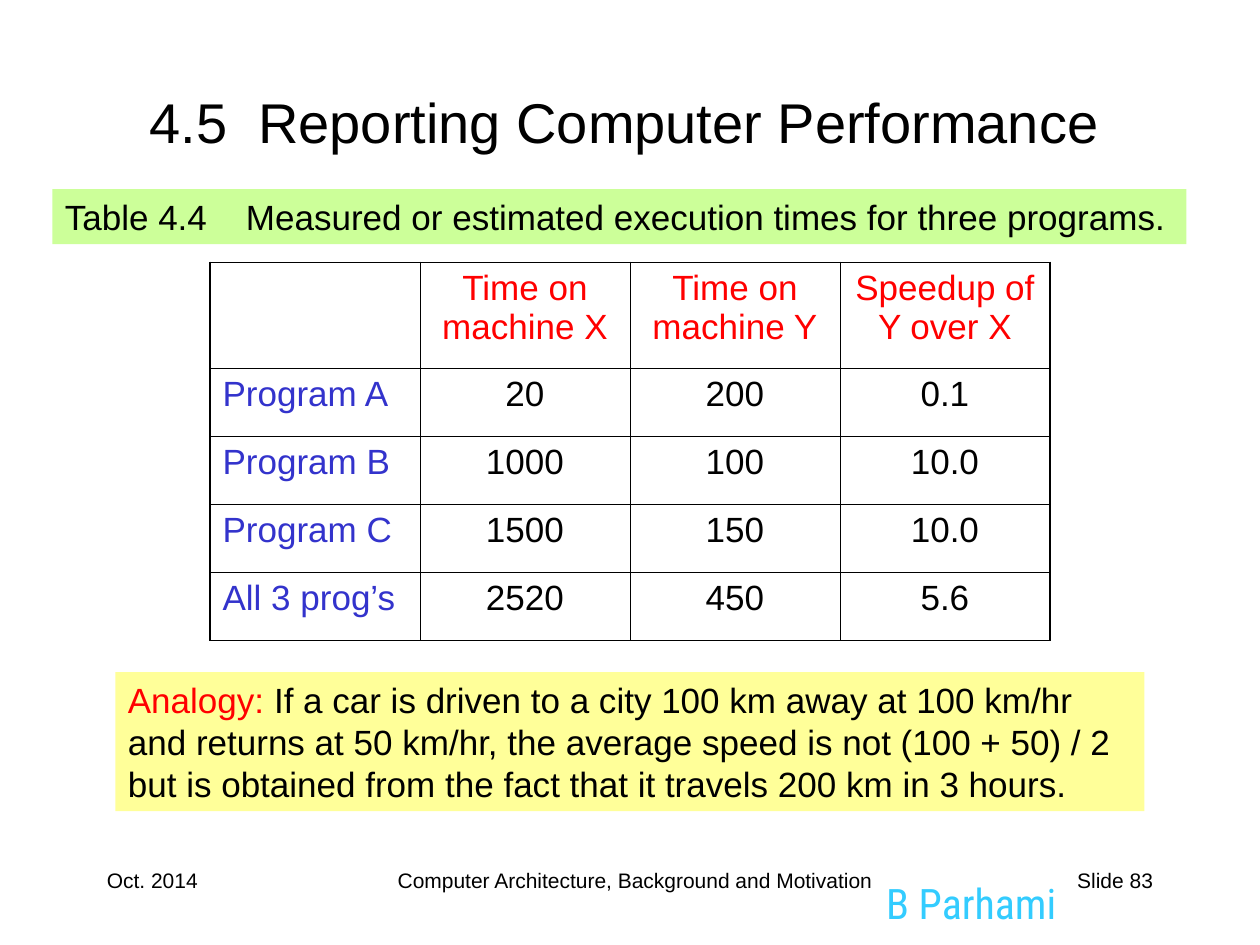
"""Builds the slide on reporting computer performance."""
from dataclasses import dataclass

from lxml.etree import SubElement
from pptx import Presentation
from pptx.dml.color import RGBColor
from pptx.enum.shapes import MSO_SHAPE
from pptx.enum.text import MSO_ANCHOR, PP_ALIGN
from pptx.oxml.ns import qn
from pptx.util import Pt


@dataclass(frozen=True)
class Theme:
    font: str = "Arial"
    author_font: str = "Roboto Condensed"
    black: str = "000000"
    red: str = "FF0000"
    blue: str = "3333CC"
    cyan: str = "33CCFF"
    green_fill: str = "CCFF99"
    yellow_fill: str = "FFFF99"
    title: int = 32
    author: int = 24
    body: int = 20
    footer: int = 12
    outer_line: float = 1.08
    inner_line: float = 0.45


T = Theme()


def add_text(p, text, size=T.body, color=T.black, font=T.font, align=PP_ALIGN.LEFT):
    p.alignment = align
    r = p.add_run()
    r.text = text
    r.font.size = Pt(size)
    r.font.name = font
    r.font.color.rgb = RGBColor.from_string(color)


prs = Presentation()
prs.slide_width, prs.slide_height = Pt(720), Pt(540)
s = prs.slides.add_slide(prs.slide_layouts[6])

labels = [
    ("B Parhami", (485, 498, 140, 36),
     dict(size=T.author, color=T.cyan, font=T.author_font, align=PP_ALIGN.CENTER)),
    ("Oct. 2014", (54, 492, 150, 36), dict(size=T.footer)),
    ("Computer Architecture, Background and Motivation", (174, 492, 378, 36),
     dict(size=T.footer, align=PP_ALIGN.CENTER)),
    ("Slide 83", (516, 492, 150, 36), dict(size=T.footer, align=PP_ALIGN.RIGHT)),
    ("4.5  Reporting Computer Performance", (30, 30, 654, 78),
     dict(size=T.title, align=PP_ALIGN.CENTER)),
]
for text, box, style in labels:
    tf = s.shapes.add_textbox(*map(Pt, box)).text_frame
    tf.word_wrap = True
    add_text(tf.paragraphs[0], text, **style)
tf.vertical_anchor = MSO_ANCHOR.MIDDLE

banners = [
    ((30, 108, 648, 31.5), T.green_fill,
     [("Table 4.4\tMeasured or estimated execution times for three programs.", T.black)]),
    ((66, 384, 588, 79.5), T.yellow_fill,
     [("Analogy:", T.red),
      (" If a car is driven to a city 100 km away at 100 km/hr and returns at 50 km/hr, "
       "the average speed is not (100 + 50) / 2 but is obtained from the fact that "
       "it travels 200 km in 3 hours.", T.black)]),
]
for box, fill, runs in banners:
    sp = s.shapes.add_shape(MSO_SHAPE.RECTANGLE, *map(Pt, box))
    sp.shadow.inherit = False
    sp.fill.solid()
    sp.fill.fore_color.rgb = RGBColor.from_string(fill)
    sp.line.fill.background()
    tf = sp.text_frame
    tf.word_wrap = True
    tf.vertical_anchor = MSO_ANCHOR.TOP
    p = tf.paragraphs[0]
    if "\t" in runs[0][0]:
        tabs = SubElement(p._p.get_or_add_pPr(), qn("a:tabLst"))
        SubElement(tabs, qn("a:tab"), pos=str(Pt(103.5)), algn="l")
    for text, color in runs:
        add_text(p, text, color=color)

rows = [
    ("", "Time on machine X", "Time on machine Y", "Speedup of Y over X"),
    ("Program A", "20", "200", "0.1"),
    ("Program B", "1000", "100", "10.0"),
    ("Program C", "1500", "150", "10.0"),
    ("All 3 prog’s", "2520", "450", "5.6"),
]
last_row, last_col = len(rows) - 1, len(rows[0]) - 1
table = s.shapes.add_table(len(rows), len(rows[0]), Pt(120), Pt(150), Pt(480), Pt(216)).table
table.first_row = table.horz_banding = False
for i, row in enumerate(rows):
    table.rows[i].height = Pt(38.9 if i else 60.4)
    for j, text in enumerate(row):
        cell = table.cell(i, j)
        tcPr = cell._tc.get_or_add_tcPr()
        edges = {"a:lnL": j == 0, "a:lnR": j == last_col,
                 "a:lnT": i == 0, "a:lnB": i == last_row}
        for tag, outer in edges.items():
            width = Pt(T.outer_line if outer else T.inner_line)
            ln = SubElement(tcPr, qn(tag), w=str(width))
            SubElement(SubElement(ln, qn("a:solidFill")), qn("a:srgbClr"), val=T.black)
        cell.fill.background()
        if text:
            color = T.red if i == 0 else T.black if j else T.blue
            add_text(cell.text_frame.paragraphs[0], text, color=color,
                     align=PP_ALIGN.CENTER if j else PP_ALIGN.LEFT)

prs.save("out.pptx")
